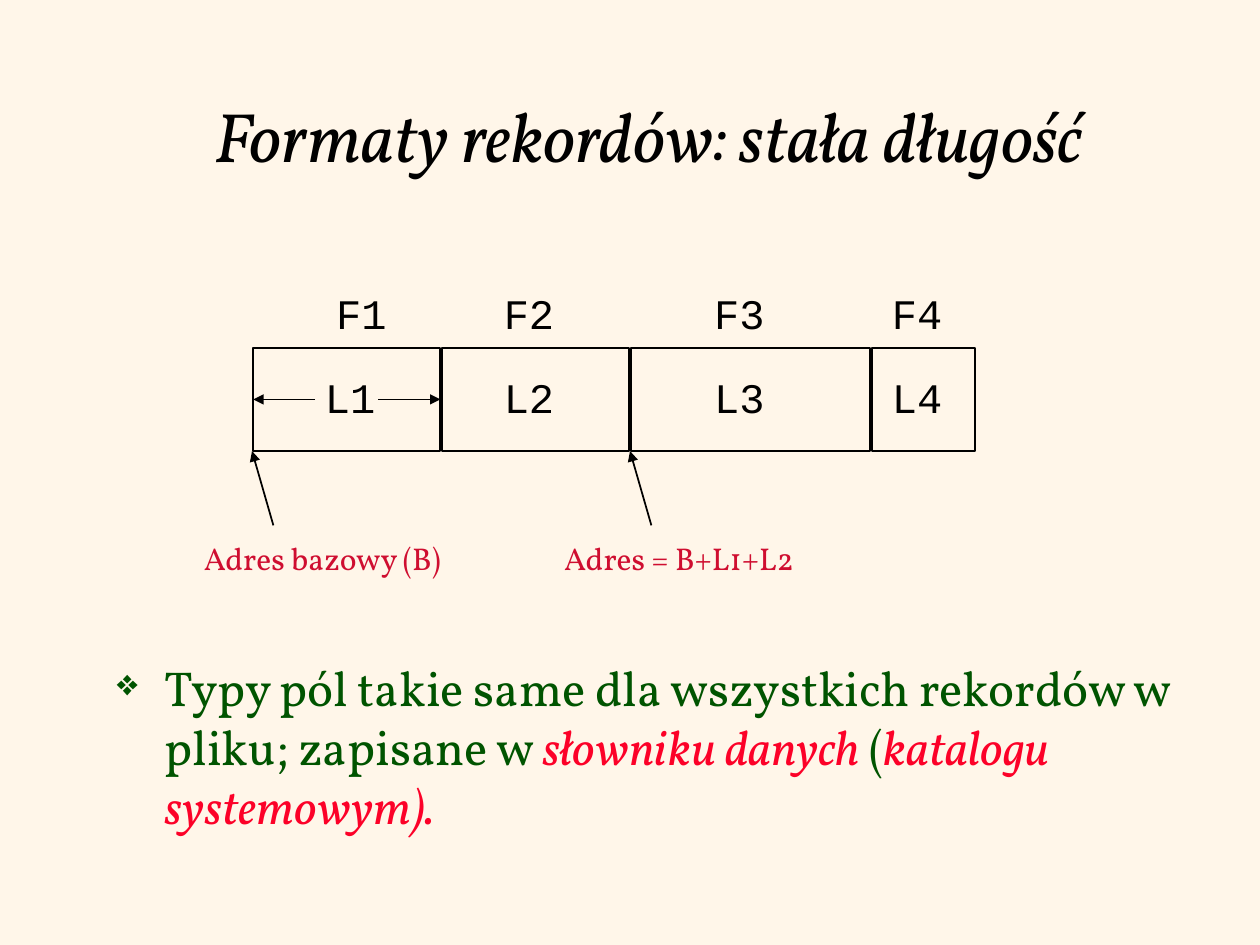
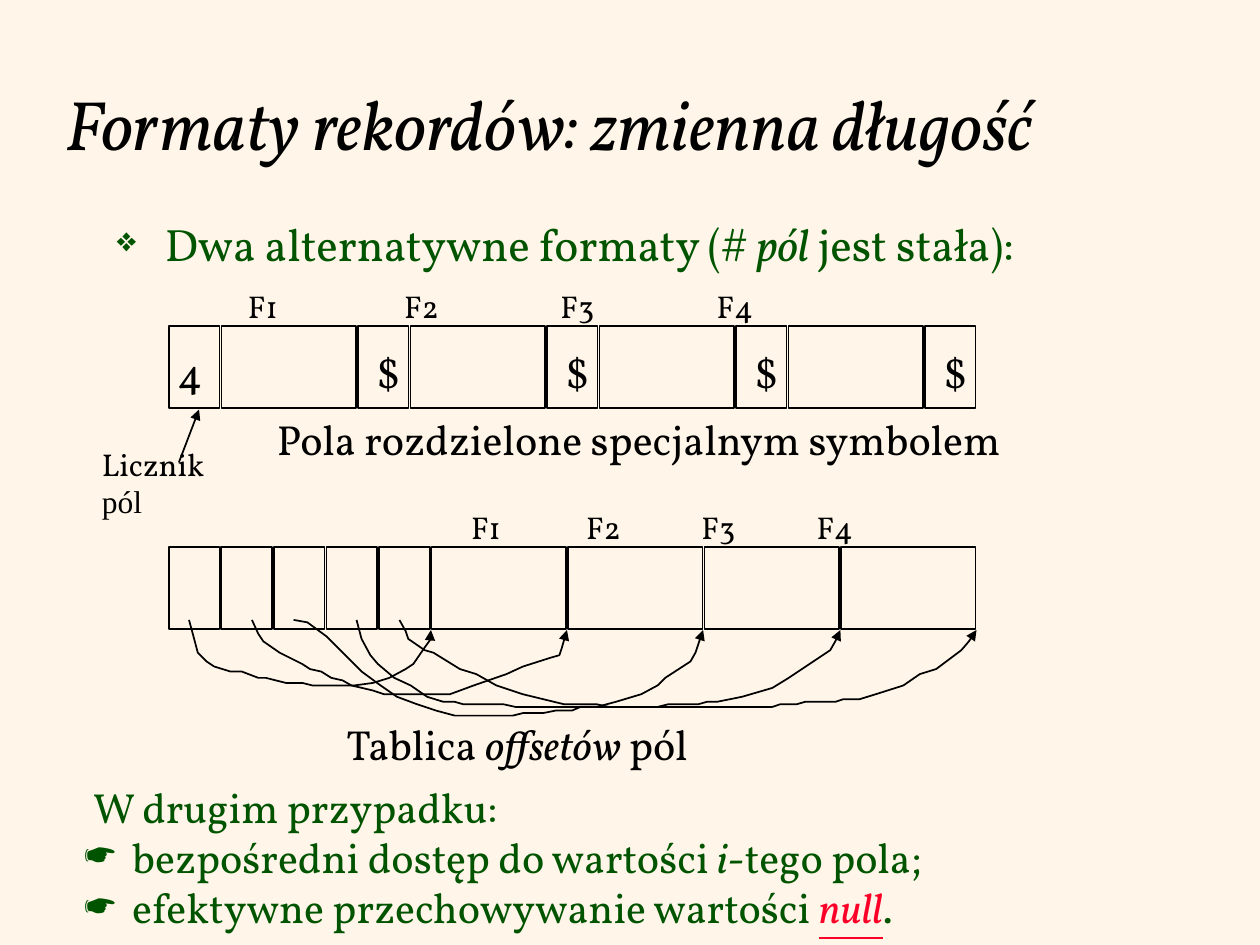
from lxml import etree
from pptx import Presentation
from pptx.dml.color import RGBColor
from pptx.enum.shapes import MSO_CONNECTOR, MSO_SHAPE
from pptx.enum.text import MSO_ANCHOR, MSO_AUTO_SIZE, PP_ALIGN
from pptx.oxml.ns import qn
from pptx.util import Inches, Pt

STRAIGHT = MSO_CONNECTOR.STRAIGHT
RECT = MSO_SHAPE.RECTANGLE
MIDDLE = MSO_ANCHOR.MIDDLE
FIT, FIXED = MSO_AUTO_SIZE.SHAPE_TO_FIT_TEXT, MSO_AUTO_SIZE.NONE
LEFT, CENTER = PP_ALIGN.LEFT, PP_ALIGN.CENTER

COLS, ROWS = 100, 75
GAP = 0.14
HEX = {"paper": "FFF6E9", "ink": "000000", "green": "005400",
       "red": "FC0128", "wine": "CF0E30"}
BASE = {"name": "Vollkorn", "size": 24, "color": "ink", "italic": False}
CODE = {"name": "Courier New"}
SMALL = {"size": 18}
NOTE = {"size": 18, "color": "wine"}
GREEN = {"color": "green"}
SLANT = {"italic": True}
HOT = {"color": "red", "italic": True}


def child(node, tag, **attrs):
    return etree.SubElement(node, qn(tag), attrs)


class Deck:
    def __init__(self):
        self.prs = Presentation()
        self.prs.slide_width, self.prs.slide_height = Inches(10), Inches(7.5)
        self.slide = None

    def x(self, cols):
        return round(self.prs.slide_width * cols / COLS)

    def y(self, rows):
        return round(self.prs.slide_height * rows / ROWS)

    def box(self, left, top, width, height):
        return self.x(left), self.y(top), self.x(width), self.y(height)

    def page(self, text, area, align):
        self.slide = self.prs.slides.add_slide(self.prs.slide_layouts[5])
        fill = self.slide.background.fill
        fill.solid()
        fill.fore_color.rgb = RGBColor.from_string(HEX["paper"])
        title = self.slide.shapes.title
        title.left, title.top, title.width, title.height = self.box(*area)
        frame = title.text_frame
        frame.auto_size, frame.vertical_anchor = FIXED, MIDDLE
        para = frame.paragraphs[0]
        para.alignment = align
        self.fill_in(para, [(text, {})], {"size": 40, "italic": True})

    def fill_in(self, para, runs, style):
        for text, extra in runs:
            run = para.add_run()
            run.text = text
            form = {**BASE, **style, **extra}
            form["size"] = Pt(form["size"])
            run.font.color.rgb = RGBColor.from_string(HEX[form.pop("color")])
            for key, value in form.items():
                setattr(run.font, key, value)

    def text(self, area, paras, style):
        frame = self.slide.shapes.add_textbox(*self.box(*area)).text_frame
        frame.word_wrap = area[2] > 10
        frame.auto_size = FIT
        for i, runs in enumerate(paras):
            para = frame.add_paragraph() if i else frame.paragraphs[0]
            self.fill_in(para, runs, style)
        return frame.paragraphs

    def label(self, left, top, width, text, style):
        height = 4 if style.get("size") == 18 else 5
        return self.text((left, top, width, height), [[(text, {})]], style)

    def bullet(self, para, mark, share=100):
        props = para._p.get_or_add_pPr()
        indent = self.x(3.8)
        props.set("marL", str(indent))
        props.set("indent", str(-indent))
        child(child(props, "a:buClr"), "a:srgbClr", val=HEX["green"])
        child(props, "a:buSzPct", val=str(share * 1000))
        child(props, "a:buChar", char=mark)

    def lead(self, area, runs, size):
        para = self.text(area, [runs], {"size": size, **GREEN})[0]
        para.space_before = Pt(7)
        self.bullet(para, "❖", 75)

    def heads(self, left, top, step):
        names = "\t".join(f"F{n}" for n in range(1, 5))
        para = self.label(left, top, 4 * step + 2, names, SMALL)[0]
        tabs = child(para._p.get_or_add_pPr(), "a:tabLst")
        for n in range(1, 4):
            child(tabs, "a:tab", pos=str(self.x(n * step)), algn="l")

    def pen(self, shape, arrow=False):
        shape.line.color.rgb = RGBColor.from_string(HEX["ink"])
        shape.line.width = Pt(1)
        if arrow:
            child(shape.line._get_or_add_ln(), "a:tailEnd", type="triangle")

    def cells(self, left, top, height, spans):
        made = []
        for span in spans:
            cell = self.slide.shapes.add_shape(
                RECT, *self.box(left, top, span - GAP, height))
            cell.shadow.inherit = False
            cell.fill.background()
            self.pen(cell)
            made.append(cell)
            left += span
        return made

    def arrow(self, start, end, cell=None, side=0):
        link = self.slide.shapes.add_connector(
            STRAIGHT, self.x(start[0]), self.y(start[1]),
            self.x(end[0]), self.y(end[1]))
        self.pen(link, True)
        child(link._element.spPr, "a:effectLst")
        if cell is not None:
            link.end_connect(cell, side)

    def curve(self, points):
        spots = [(self.x(a), self.y(b)) for a, b in points]
        trail = self.slide.shapes.build_freeform(*spots[0], scale=1.0)
        trail.add_line_segments(spots[1:], close=False)
        shape = trail.convert_to_shape()
        shape.shadow.inherit = False
        shape.fill.background()
        self.pen(shape, True)


def fixed(deck):
    deck.page("Formaty rekordów: stała długość", (9, 4.6, 85, 12.1), CENTER)
    deck.lead((8.3, 51.7, 89.2, 20), [
        ("Typy pól takie same dla wszystkich rekordów w pliku; zapisane w ", {}),
        ("słowniku danych", HOT), (" (", {}),
        ("katalogu systemowym).", HOT)], 28)
    first = deck.cells(20.1, 27.6, 8.2, [15, 15, 19.1, 8.34])[0]
    for n, left in enumerate([24.8, 39, 55.7, 69.8], 1):
        deck.label(left, 29, 6, f"L{n}", CODE)
        deck.label(25.7 if n == 1 else left, 22.3, 6, f"F{n}", CODE)
    deck.arrow((25, 31.7), (20.1, 31.7), first, 1)
    deck.arrow((30, 31.7), (35, 31.7), first, 3)
    for foot, left, width, text in [(20, 15.2, 22.8, "Adres bazowy (B)"),
                                    (50, 43.8, 22, "Adres = B+L1+L2")]:
        deck.arrow((foot + 1.7, 41.7), (foot, 35.8))
        deck.label(left, 42.3, width, text, NOTE)


CURVES = [
    [(15, 49.2), (15.3, 50.3), (15.7, 51.8), (16.4, 52.5), (17, 52.9),
     (18.3, 53.3), (19.2, 53.3), (20.5, 53.8), (21.1, 53.8), (22.7, 54.2),
     (24, 54.2), (24.8, 54.4), (28.1, 54.4), (29.6, 54.2), (30.9, 53.8),
     (32.2, 53.1), (32.8, 52.7), (33.7, 51.4), (34.2, 50.7), (34.2, 50)],
    [(20, 49.2), (20.5, 50.3), (20.9, 50.9), (22.2, 51.8), (24, 52.7),
     (24.6, 53.1), (25.5, 53.3), (26.3, 53.8), (27.2, 54), (27.9, 54.4),
     (29.6, 54.8), (30.5, 55.1), (35.7, 55.1), (37.6, 54.4), (40.2, 53.5),
     (41.5, 52.9), (43.7, 52.2), (44.4, 52), (44.6, 51.4), (45, 50)],
    [(23.3, 49.2), (24.4, 49.4), (25.9, 50.5), (27.2, 51.8), (28.7, 53.3),
     (30.2, 54.4), (31.5, 55.3), (33.1, 55.9), (34.6, 56.4), (36.1, 56.8),
     (40.7, 56.8), (41.5, 56.6), (43.1, 56.6), (44.1, 56.4), (45.4, 56.4),
     (46.1, 56.1), (47.4, 56.1), (48.9, 55.7), (50.9, 55.1), (52.2, 54.4),
     (52.8, 53.8), (54.8, 52.5), (55.2, 51.8), (55.8, 50)],
    [(28.3, 49.2), (28.7, 50.7), (29.4, 52), (30, 52.7), (31.3, 53.8),
     (32.6, 54.4), (33.9, 55.3), (35.2, 55.7), (36.1, 55.7), (36.8, 55.9),
     (40, 55.9), (40.9, 56.1), (52.2, 56.1), (53, 55.9), (55.4, 55.9),
     (56.1, 55.7), (56.9, 55.7), (58.9, 55.3), (61.3, 54.6), (62.6, 53.8),
     (65.9, 51.6), (66.3, 50.9), (66.7, 50)],
    [(31.7, 49.2), (32.2, 50.1), (32.4, 50.7), (33.7, 51.6), (34.4, 51.8),
     (36.5, 53.1), (37.8, 53.5), (39.4, 54.4), (41.5, 55.1), (44.8, 55.9),
     (47.4, 55.9), (48.3, 56.1), (61.3, 56.1), (61.9, 55.9), (63.2, 55.9),
     (63.9, 55.7), (66.3, 55.7), (66.9, 55.5), (68.2, 55.5), (69.5, 55.1),
     (71.7, 54.4), (73, 53.5), (74.3, 53.1), (76.3, 51.6), (76.9, 50.9),
     (77.5, 50)],
]


def varied(deck):
    deck.page("Formaty rekordów: zmienna długość", (4.2, 3.3, 90, 12.9), LEFT)
    deck.lead((8.3, 16.7, 82.5, 7.5), [
        ("Dwa alternatywne formaty (#", {}), (" pól ", SLANT),
        ("jest stała):", {})], 25.9)

    slim, wide = 4.17, 10.83
    deck.cells(13.4, 25.9, 6.5, [slim, wide] * 4 + [slim])
    deck.label(13.1, 27, 3.8, "4", {})
    for n in range(4):
        deck.label(28.9 + n * (slim + wide), 27, 3.8, "$", {})
    deck.heads(18.7, 22.3, 12.4)
    deck.arrow((14.2, 36.7), (15.8, 32.5))
    deck.text((7.1, 34.8, 11.4, 7), [
        [("Licznik", {})], [("pól", {"name": "Times New Roman"})]], SMALL)
    deck.label(21, 32.3, 64.7, "Pola rozdzielone specjalnym symbolem", {})

    deck.cells(13.4, 43.4, 6.5, [slim] * 5 + [wide] * 4)
    deck.heads(36.4, 39.8, 9.14)
    for points in CURVES:
        deck.curve(points)
    deck.text((26.5, 56.5, 33.3, 5), [
        [("Tablica ", {}), ("offsetów ", SLANT), ("pól", {})]], {})

    head, *items = deck.text((5.7, 61.5, 75.2, 13), [
        [("W drugim przypadku:", {})],
        [("bezpośredni dostęp do wartości ", {}), ("i", SLANT),
         ("-tego pola;", {})],
        [("efektywne przechowywanie wartości ", {}),
         ("null", {**HOT, "underline": True}), (".", {})]], GREEN)
    head._p.get_or_add_pPr().set("marL", str(deck.x(0.7)))
    for para in items:
        deck.bullet(para, "☛")


def main():
    deck = Deck()
    fixed(deck)
    varied(deck)
    deck.prs.save("out.pptx")


if __name__ == "__main__":
    main()
